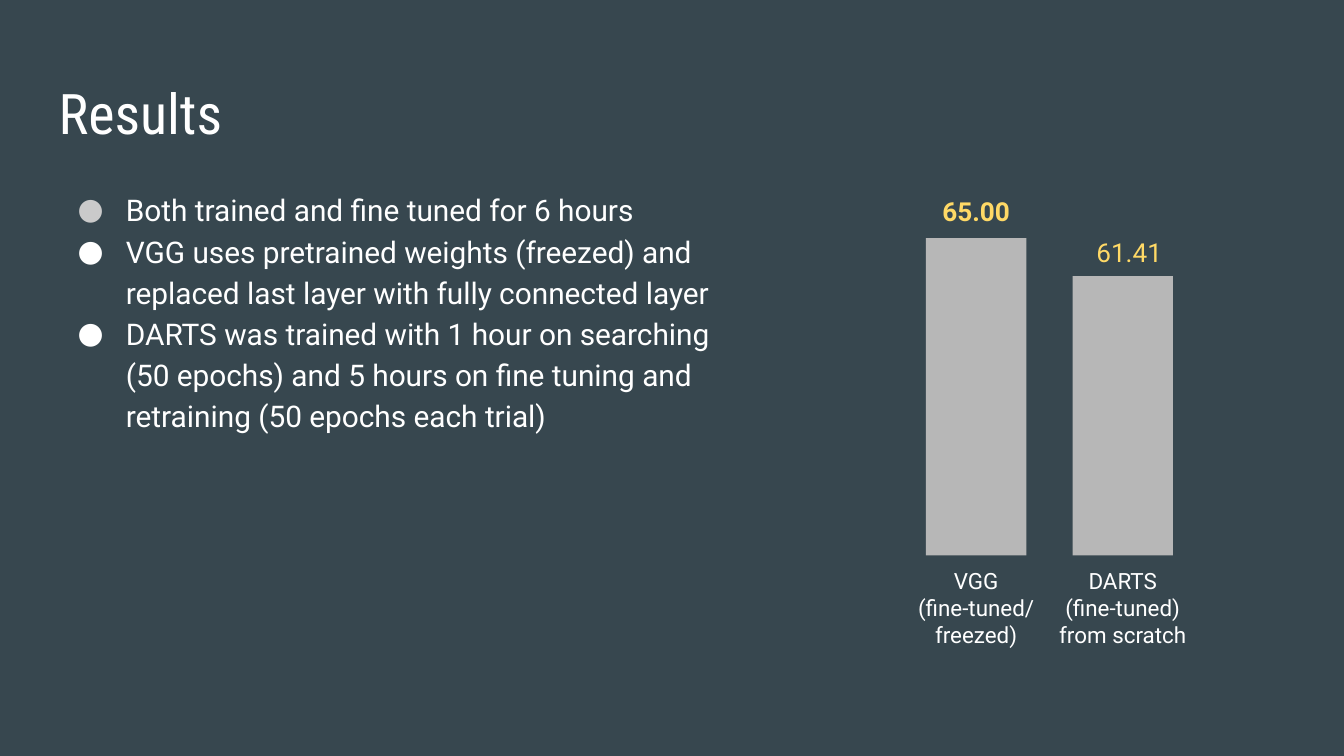
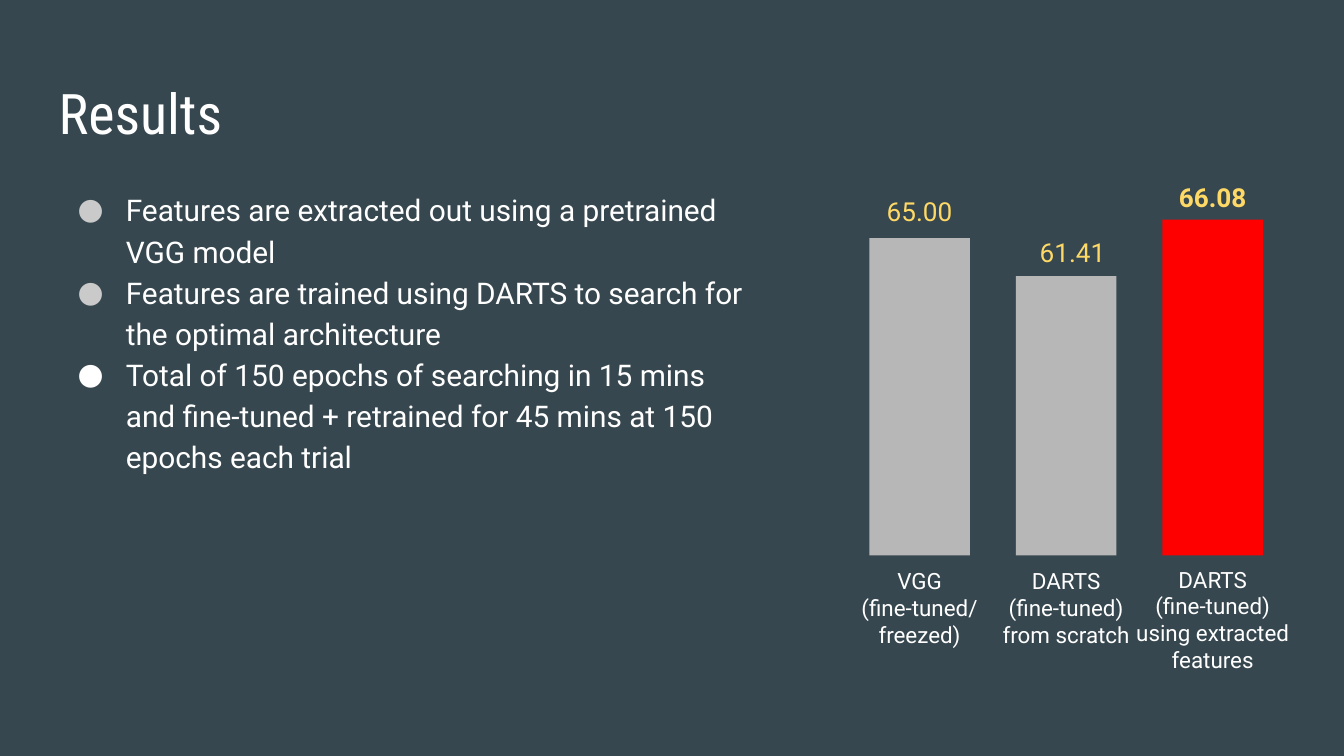
from lxml.etree import SubElement
from pptx import Presentation
from pptx.dml.color import RGBColor
from pptx.enum.shapes import MSO_SHAPE
from pptx.enum.text import MSO_ANCHOR, PP_ALIGN
from pptx.oxml.ns import qn
from pptx.util import Cm, Pt

SLATE = RGBColor(0x37, 0x47, 0x4F)
WHITE = RGBColor(0xFF, 0xFF, 0xFF)
SILVER = RGBColor(0xCA, 0xCA, 0xCA)
GREY = RGBColor(0xB7, 0xB7, 0xB7)
RED = RGBColor(0xFF, 0x00, 0x00)
YELLOW = RGBColor(0xFF, 0xD9, 0x66)

# Each style: text colour, then format values for the frame, paragraphs and font
TOP = {"vertical_anchor": MSO_ANCHOR.TOP}
MIDDLE = {"vertical_anchor": MSO_ANCHOR.MIDDLE}
CENTER = {"alignment": PP_ALIGN.CENTER}
LEFT = {"alignment": PP_ALIGN.LEFT}
TITLE = (WHITE, TOP, LEFT, {"name": "Roboto Condensed", "size": Pt(30)})
BODY = (WHITE, TOP, {"line_spacing": 1.15}, {"name": "Roboto", "size": Pt(16)})
LABEL = (WHITE, MIDDLE, CENTER, {"name": "Roboto", "size": Pt(12)})
VALUE = (YELLOW, MIDDLE, CENTER, {"name": "Roboto", "size": Pt(14)})
BEST_VALUE = (YELLOW, MIDDLE, CENTER, {**VALUE[3], "bold": True})
LEFT_VALUE = (YELLOW, MIDDLE, LEFT, VALUE[3])

# Bar chart drawn with rectangles (lengths in cm)
BAR_WIDTH = 1.9
BAR_STEP = 2.77
BASELINE = 10.5
TEXT_HEIGHT = 0.86

# Bar: height, colour, value, value style, value shift, value top,
#      label lines, label width, label top
VGG = (6, GREY, "65.00", VALUE, 0, 3.56,
       ["VGG", "(fine-tuned/ freezed)"], 3.18, 11.05)
BEST_VGG = (*VGG[:3], BEST_VALUE, *VGG[4:])
SCRATCH = (5.28, GREY, "61.41", LEFT_VALUE, 0.2, 4.34,
           ["DARTS", "(fine-tuned) from scratch"], 3.18, 11.05)
EXTRACTED = (6.35, RED, "66.08", BEST_VALUE, 0, 3.3,
             ["DARTS", "(fine-tuned) using extracted features"], 3.43, 11.28)

# Slide: left edge of the first bar, bullets with their colours, bars
SLIDES = [
    (17.5, [
        ("Both trained and fine tuned for 6 hours", SILVER),
        ("VGG uses pretrained weights (freezed) and replaced last layer with "
         "fully connected layer", WHITE),
        ("DARTS was trained with 1 hour on searching (50 epochs) and 5 hours "
         "on fine tuning and retraining (50 epochs each trial)", WHITE),
    ], [BEST_VGG, SCRATCH]),
    (16.43, [
        ("Features are extracted out using a pretrained VGG model", SILVER),
        ("Features are trained using DARTS to search for the optimal "
         "architecture", SILVER),
        ("Total of 150 epochs of searching in 15 mins and fine-tuned + "
         "retrained for 45 mins at 150 epochs each trial", WHITE),
    ], [VGG, SCRATCH, EXTRACTED]),
]


def add_text(page, place, lines, style):
    """Add a text box at place (left, top, width, height in cm), one paragraph a line."""
    color, frame_format, para_format, font_format = style
    frame = page.shapes.add_textbox(*map(Cm, place)).text_frame
    frame.word_wrap = True
    for side in ("left", "top", "right", "bottom"):
        setattr(frame, f"margin_{side}", Cm(0.25))
    frame.text = "\n".join(lines)
    targets = [(frame, frame_format)]
    for para in frame.paragraphs:
        span = para.runs[0]
        span.font.color.rgb = color
        targets += [(para, para_format), (span.font, font_format)]
    for target, values in targets:
        for name, value in values.items():
            setattr(target, name, value)
    return frame


def add_bullet(para, color):
    properties = para._p.get_or_add_pPr()
    properties.set("marL", str(Cm(1.27)))
    properties.set("indent", str(Cm(-0.91)))
    bullet_color = SubElement(properties, qn("a:buClr"))
    SubElement(bullet_color, qn("a:srgbClr"), val=str(color))
    SubElement(properties, qn("a:buFont"), typeface="Roboto")
    SubElement(properties, qn("a:buChar"), char="●")


deck = Presentation()
deck.slide_width = Cm(25.4)
deck.slide_height = Cm(14.29)
background = deck.slide_master.background.fill
background.solid()
background.fore_color.rgb = SLATE

for first_left, bullets, bars in SLIDES:
    page = deck.slides.add_slide(deck.slide_layouts[6])
    add_text(page, (0.86, 1.24, 12.6, 1.6), ["Results"], TITLE)
    body = add_text(page, (0.86, 3.28, 13.61, 9.5), [text for text, _ in bullets], BODY)
    for para, (_, bullet_color) in zip(body.paragraphs, bullets):
        add_bullet(para, bullet_color)

    for index, bar in enumerate(bars):
        (height, color, value, value_style, value_shift, value_top,
         label, label_width, label_top) = bar
        left = first_left + index * BAR_STEP
        label_left = left + (BAR_WIDTH - label_width) / 2
        box = page.shapes.add_shape(MSO_SHAPE.RECTANGLE, Cm(left), Cm(BASELINE - height),
                                    Cm(BAR_WIDTH), Cm(height))
        box.shadow.inherit = False
        box.fill.solid()
        box.fill.fore_color.rgb = color
        box.line.fill.background()
        add_text(page, (left + value_shift, value_top, BAR_WIDTH, TEXT_HEIGHT),
                 [value], value_style)
        add_text(page, (label_left, label_top, label_width, TEXT_HEIGHT), label, LABEL)

deck.save("out.pptx")
